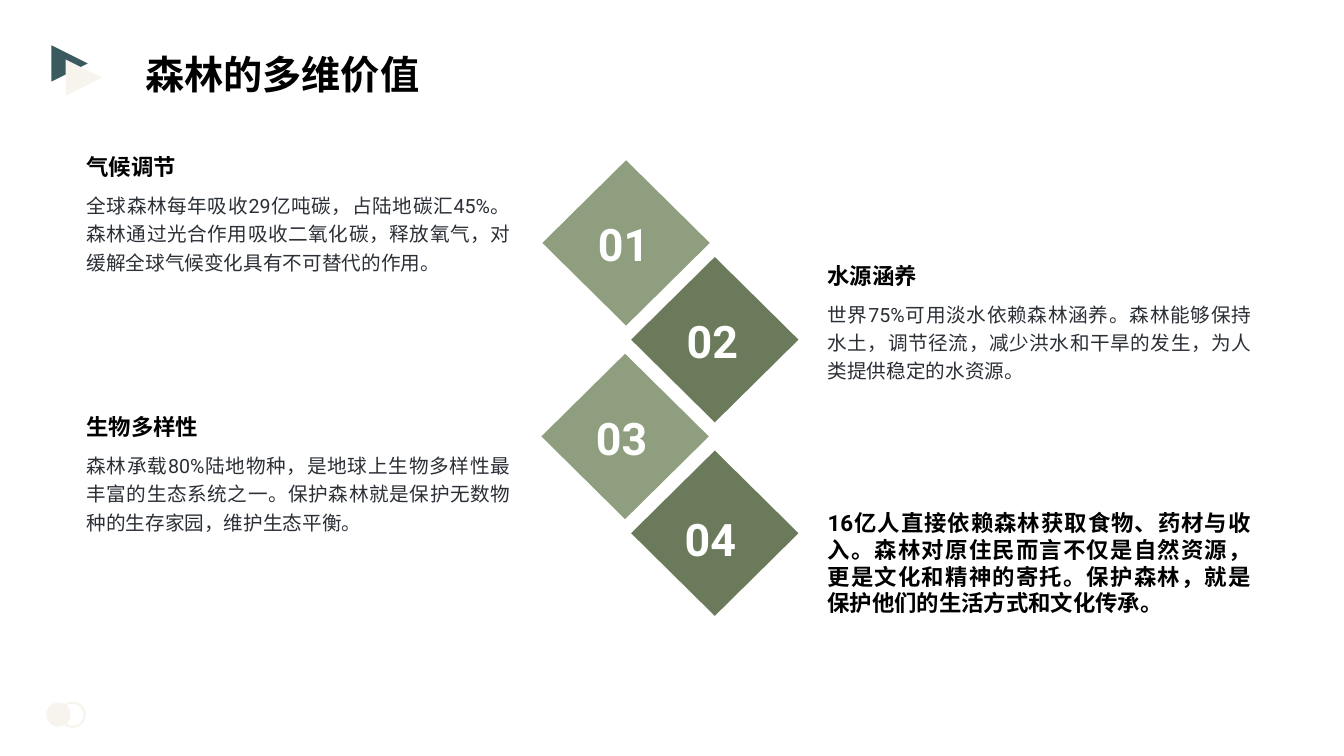
import pptx
import pptx.util
import pptx.dml.color
import pptx.enum.shapes
import pptx.enum.text
import pptx.oxml.ns
import lxml.etree

Inches = pptx.util.Inches
RGBColor = pptx.dml.color.RGBColor
SHAPES = pptx.enum.shapes.MSO_SHAPE
ALIGN = pptx.enum.text.PP_ALIGN
AUTO_SIZE = pptx.enum.text.MSO_AUTO_SIZE

FONT = "Roboto"
BLACK = RGBColor(0x00, 0x00, 0x00)
WHITE = RGBColor(0xFF, 0xFF, 0xFF)
BODY_GREY = RGBColor(0x2B, 0x2F, 0x36)
LIGHT_GREEN = RGBColor(0x8E, 0x9E, 0x7E)
DARK_GREEN = RGBColor(0x6B, 0x7A, 0x5B)
TEAL = RGBColor(0x3A, 0x5A, 0x60)
CREAM = RGBColor(0xF6, 0xF4, 0xED)

TITLE = "森林的多维价值"
VALUES = [
    {"heading": "气候调节", "top": 1.47, "diamond_left": 5.38, "number_top": 2.05,
     "body": "全球森林每年吸收29亿吨碳，占陆地碳汇45%。森林通过光合作用吸收二氧化碳，"
             "释放氧气，对缓解全球气候变化具有不可替代的作用。"},
    {"heading": "水源涵养", "top": 2.55, "diamond_left": 6.26, "number_top": 3.01,
     "body": "世界75%可用淡水依赖森林涵养。森林能够保持水土，调节径流，"
             "减少洪水和干旱的发生，为人类提供稳定的水资源。"},
    {"heading": "生物多样性", "top": 4.05, "diamond_left": 5.37, "number_top": 3.97,
     "body": "森林承载80%陆地物种，是地球上生物多样性最丰富的生态系统之一。"
             "保护森林就是保护无数物种的生存家园，维护生态平衡。"},
    {"heading": "16亿人直接依赖森林获取食物、药材与收入。森林对原住民而言不仅是自然资源，"
                "更是文化和精神的寄托。保护森林，就是保护他们的生活方式和文化传承。",
     "top": 5.0, "diamond_left": 6.26, "number_top": 4.98, "body": None},
]
COLUMN_LEFTS = (0.76, 8.11)
DIAMOND_COLORS = (LIGHT_GREEN, DARK_GREEN)
NUMBER_OFFSETS = (0.38, 0.38, 0.37, 0.36)
DIAMOND_TOP, DIAMOND_STEP = 1.59, 0.96


def write_text(shape, text, *, size, color=BLACK, bold=True, align=ALIGN.JUSTIFY,
               spacing=1.0, insets=(0.1, 0.05, 0.1, 0.05), grow=True):
    """Put one formatted paragraph into a shape."""
    frame = shape.text_frame
    frame.word_wrap = True
    frame.auto_size = AUTO_SIZE.SHAPE_TO_FIT_TEXT if grow else AUTO_SIZE.NONE
    frame.vertical_anchor = pptx.enum.text.MSO_ANCHOR.TOP
    (frame.margin_left, frame.margin_top,
     frame.margin_right, frame.margin_bottom) = map(Inches, insets)
    paragraph = frame.paragraphs[0]
    paragraph.alignment = align
    paragraph.line_spacing = spacing
    run = paragraph.add_run()
    run.text = text
    run.font.size = pptx.util.Pt(size)
    run.font.bold = bold
    run.font.color.rgb = color
    run.font.name = FONT
    east_asian = lxml.etree.SubElement(run.font._element, pptx.oxml.ns.qn("a:ea"))
    east_asian.set("typeface", FONT)


def add_box(slide, left, top, width, height, text, **text_format):
    """Add a text box with one paragraph."""
    box = slide.shapes.add_textbox(*map(Inches, (left, top, width, height)))
    write_text(box, text, **text_format)


def add_figure(slide, kind, left, top, width, height, fill=None, line=None):
    """Add a flat preset shape and return it."""
    shape = slide.shapes.add_shape(kind, *map(Inches, (left, top, width, height)))
    shape.shadow.inherit = False
    if fill is None:
        shape.fill.background()
    else:
        shape.fill.solid()
        shape.fill.fore_color.rgb = fill
    if line is None:
        shape.line.fill.background()
    else:
        shape.line.color.rgb = line
        shape.line.width = pptx.util.Pt(1.5)
    return shape


def add_decorations(slide):
    """Add the title triangles and the footer circles."""
    for left, top, color in ((0.51, 0.45, TEAL), (0.65, 0.59, CREAM)):
        triangle = add_figure(slide, SHAPES.ISOSCELES_TRIANGLE, left, top, 0.36, 0.36, color)
        triangle.rotation = 90
    for left, fill, line in ((0.46, CREAM, None), (0.6, None, CREAM)):
        circle = add_figure(slide, SHAPES.ROUNDED_RECTANGLE, left, 6.97, 0.24, 0.24, fill, line)
        circle.adjustments[0] = 0.5


def add_value(slide, index, value):
    """Add one numbered diamond with its heading and body."""
    side = index % 2
    add_figure(slide, SHAPES.DIAMOND, value["diamond_left"],
               DIAMOND_TOP + index * DIAMOND_STEP, 1.66, 1.64, DIAMOND_COLORS[side])
    add_box(slide, value["diamond_left"] + NUMBER_OFFSETS[index], value["number_top"],
            0.9, 0.64, f"{index + 1:02d}", size=32, color=WHITE, align=ALIGN.CENTER,
            insets=(0.05, 0.1, 0.1, 0.05), grow=False)
    left = COLUMN_LEFTS[side]
    add_box(slide, left, value["top"], 4.4, 0.37, value["heading"], size=16)
    if value["body"]:
        add_box(slide, left, value["top"] + 0.36, 4.4, 1.8, value["body"],
                size=14, color=BODY_GREY, bold=False, spacing=1.2)


def main():
    """Build and save the slide."""
    presentation = pptx.Presentation()
    presentation.slide_width = Inches(13.33)
    presentation.slide_height = Inches(7.5)
    slide = presentation.slides.add_slide(presentation.slide_layouts[5])
    title = slide.shapes.title
    title.left, title.top, title.width, title.height = map(Inches, (1.34, 0.45, 11.79, 0.57))
    write_text(title, TITLE, size=28)
    add_decorations(slide)
    for index, value in enumerate(VALUES):
        add_value(slide, index, value)
    presentation.save("out.pptx")


if __name__ == "__main__":
    main()
